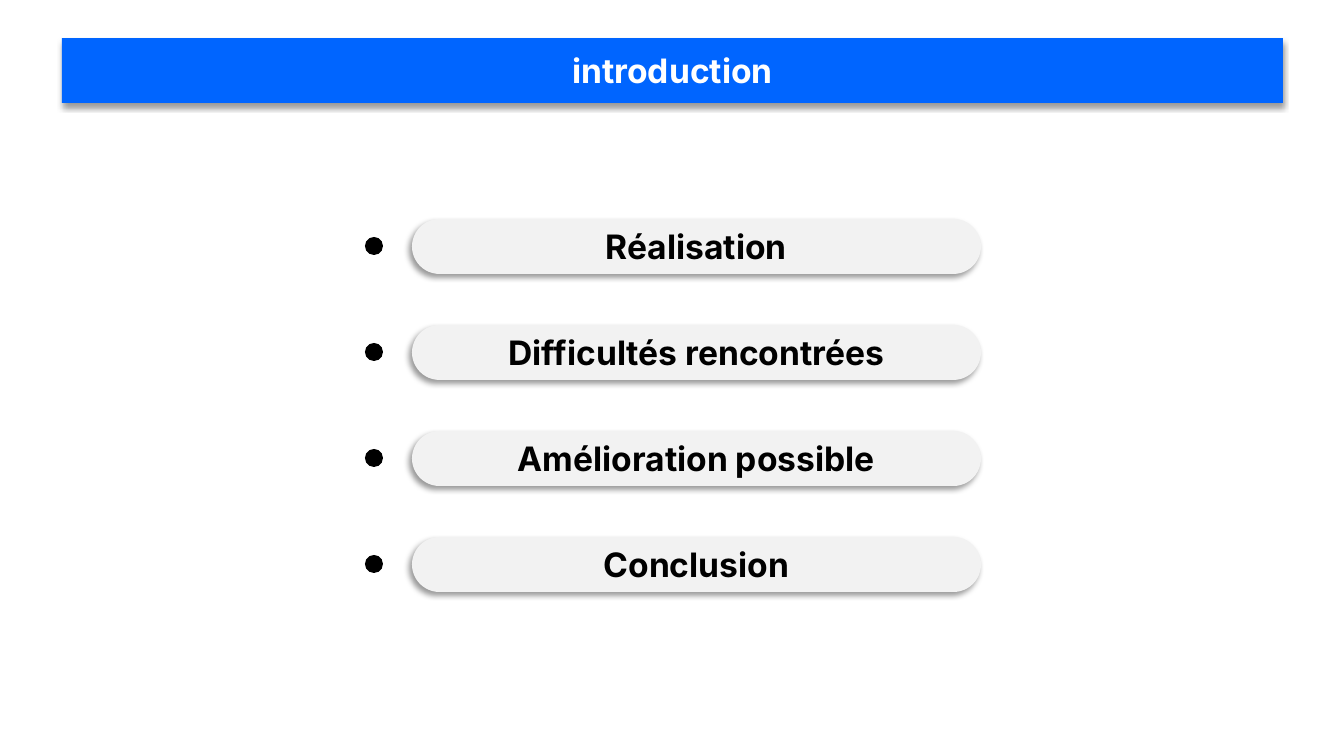
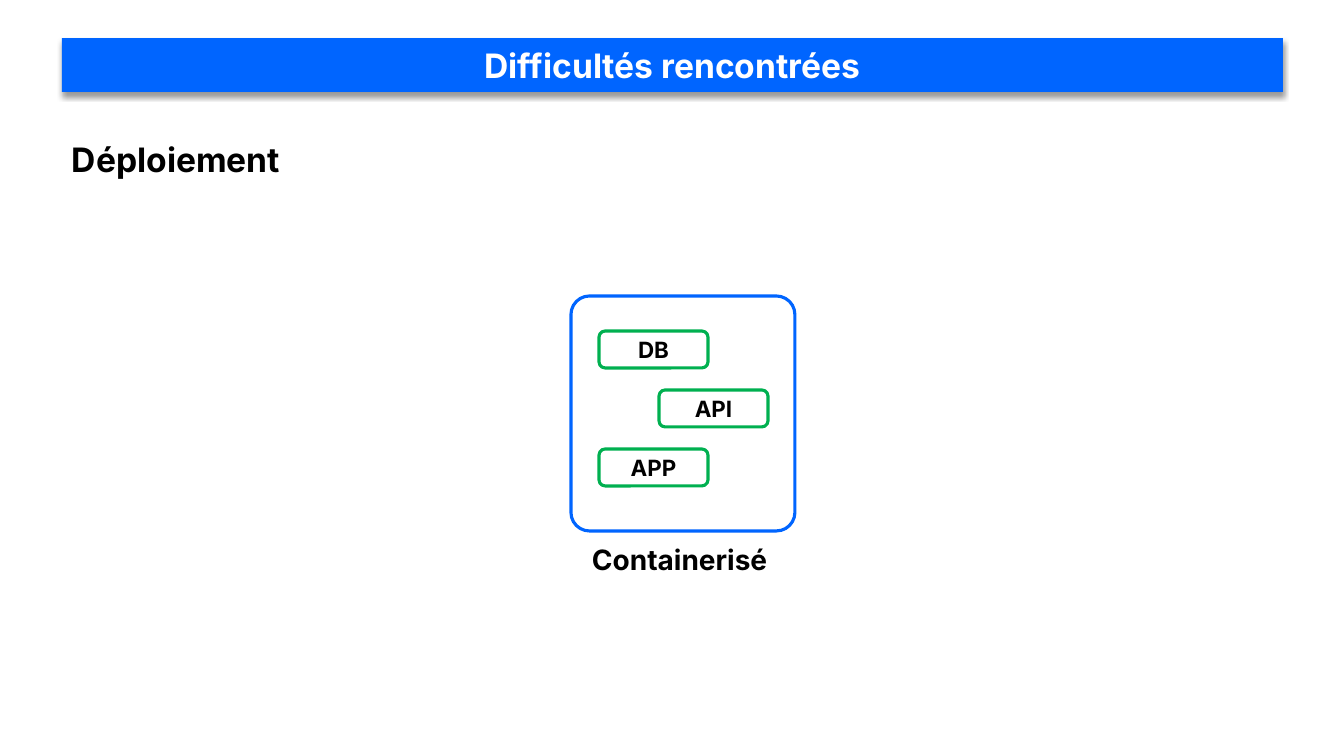
from dataclasses import dataclass

from lxml import etree
from pptx import Presentation
from pptx.dml.color import RGBColor
from pptx.enum.shapes import MSO_SHAPE
from pptx.enum.text import MSO_ANCHOR, MSO_AUTO_SIZE, PP_ALIGN
from pptx.oxml.ns import qn
from pptx.util import Pt

ROUND, OVAL = MSO_SHAPE.ROUNDED_RECTANGLE, MSO_SHAPE.OVAL
MIDDLE, TOP = MSO_ANCHOR.MIDDLE, MSO_ANCHOR.TOP
CENTER, LEFT = PP_ALIGN.CENTER, PP_ALIGN.LEFT
TITLE_ONLY = 5
EMU_PER_PX = 914400 / 100.8


@dataclass(frozen=True)
class Theme:
    font: str = "Inter"
    blue: str = "0065FF"
    green: str = "00B050"
    gray: str = "F2F2F2"
    black: str = "000000"
    white: str = "FFFFFF"
    large: int = 24
    medium: int = 20
    small: int = 16
    outline: float = 2.25


T = Theme()

# Content
AGENDA_TITLE = "introduction"
AGENDA = ["Réalisation", "Difficultés rencontrées",
          "Amélioration possible", "Conclusion"]
ISSUES_TITLE = "Difficultés rencontrées"
ISSUES_HEADING = "Déploiement"
SERVICES = ["DB", "API", "APP"]
CONTAINER_CAPTION = "Containerisé"

# Layout in px
SLIDE_W, SLIDE_H = 1344, 756
BAND_X, BAND_Y, BAND_W = 62, 38, 1221
PILL_X, PILL_Y, PILL_W, PILL_H, PILL_STEP = 412, 219, 569, 55, 106
DOT_X, DOT = 365, 18
BOX_X, BOX_Y, BOX_W, BOX_H, BOX_STEP, BOX_SHIFT = 599, 331, 109, 37, 59, 60


def px(n):
    return round(n * EMU_PER_PX)


def rgb(color):
    return RGBColor.from_string(color)


def place(shape, x, y, w, h):
    shape.left, shape.top, shape.width, shape.height = map(px, (x, y, w, h))


def write(shape, text, size, color=T.black, align=CENTER, anchor=MIDDLE):
    tf = shape.text_frame
    tf.word_wrap = True
    tf.auto_size = MSO_AUTO_SIZE.NONE
    tf.vertical_anchor = anchor
    p = tf.paragraphs[0]
    p.text, p.alignment = text, align
    p.font.name, p.font.size, p.font.bold = T.font, Pt(size), True
    p.font.color.rgb = rgb(color)


def add_shadow(shape, degrees):
    shape.shadow.inherit = False
    effects = shape._element.spPr.find(qn("a:effectLst"))
    shadow = etree.SubElement(
        effects, qn("a:outerShdw"), blurRad=str(Pt(4)), dist=str(Pt(3)),
        dir=str(degrees * 60000), algn="t", rotWithShape="0")
    color = etree.SubElement(shadow, qn("a:srgbClr"), val=T.black)
    etree.SubElement(color, qn("a:alpha"), val="40000")


def add_shape(s, kind, box, fill=None, line=None, radius=None):
    shape = s.shapes.add_shape(kind, *map(px, box))
    shape.shadow.inherit = False
    if radius is not None:
        shape.adjustments[0] = radius
    if fill:
        shape.fill.solid()
        shape.fill.fore_color.rgb = rgb(fill)
    else:
        shape.fill.background()
    if line:
        shape.line.color.rgb = rgb(line)
        shape.line.width = Pt(T.outline)
    else:
        shape.line.fill.background()
    return shape


def add_label(s, text, size, box):
    label = s.shapes.add_textbox(*map(px, box))
    write(label, text, size, align=LEFT, anchor=TOP)


def add_slide(prs, title, band_h):
    """Slide whose title placeholder is a rounded blue band."""
    s = prs.slides.add_slide(prs.slide_layouts[TITLE_ONLY])
    band = s.shapes.title
    place(band, BAND_X, BAND_Y, BAND_W, band_h)
    geometry = etree.Element(qn("a:prstGeom"), prst="roundRect")
    guides = etree.SubElement(geometry, qn("a:avLst"))
    etree.SubElement(guides, qn("a:gd"), name="adj", fmla="val 50000")
    band._element.spPr.find(qn("a:xfrm")).addnext(geometry)
    band.fill.solid()
    band.fill.fore_color.rgb = rgb(T.blue)
    add_shadow(band, 90)
    write(band, title, T.large, T.white)
    return s


def build_agenda(prs):
    s = add_slide(prs, AGENDA_TITLE, 65)
    for i, text in enumerate(AGENDA):
        y = PILL_Y + i * PILL_STEP
        pill = add_shape(s, ROUND, (PILL_X, y, PILL_W, PILL_H), T.gray, radius=0.5)
        add_shadow(pill, 135)
        write(pill, text, T.large)
        dot_y = y + (PILL_H - DOT) // 2
        add_shape(s, OVAL, (DOT_X, dot_y, DOT, DOT), T.black)


def build_issues(prs):
    s = add_slide(prs, ISSUES_TITLE, 54)
    add_label(s, ISSUES_HEADING, T.large, (62, 134, 401, 50))

    # Container with staggered services
    add_shape(s, ROUND, (571, 296, 224, 235), line=T.blue, radius=0.083)
    for i, name in enumerate(SERVICES):
        box = (BOX_X + i % 2 * BOX_SHIFT, BOX_Y + i * BOX_STEP, BOX_W, BOX_H)
        write(add_shape(s, ROUND, box, line=T.green), name, T.small)
    add_label(s, CONTAINER_CAPTION, T.medium, (582, 538, 203, 44))


def main():
    prs = Presentation()
    prs.slide_width, prs.slide_height = px(SLIDE_W), px(SLIDE_H)
    build_agenda(prs)
    build_issues(prs)
    prs.save("out.pptx")


if __name__ == "__main__":
    main()
